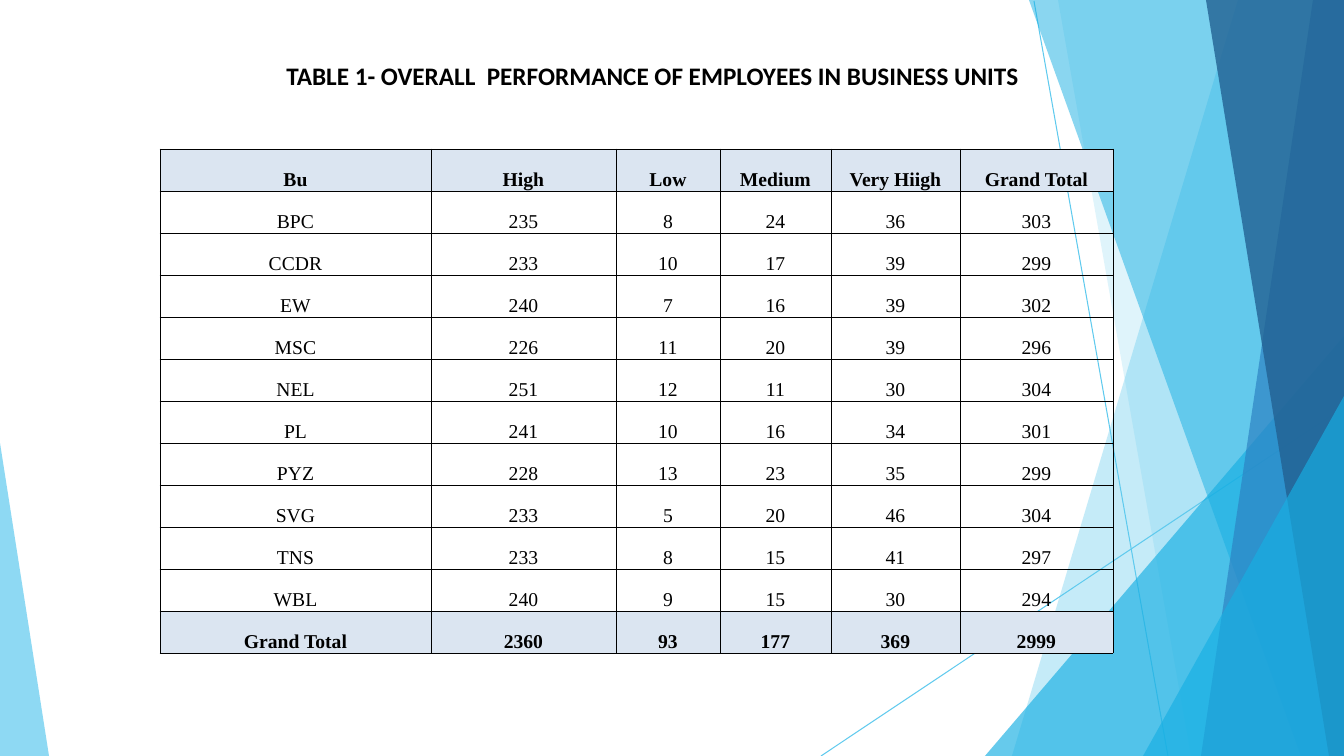
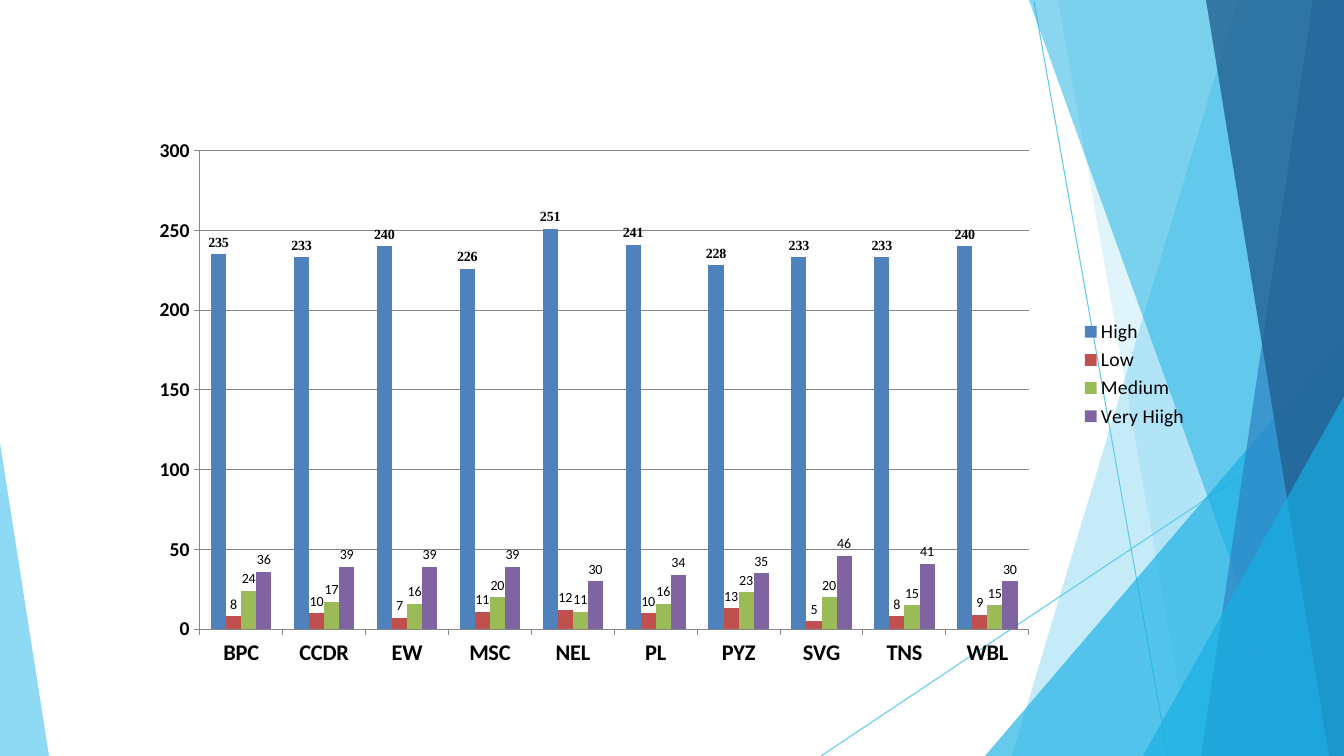
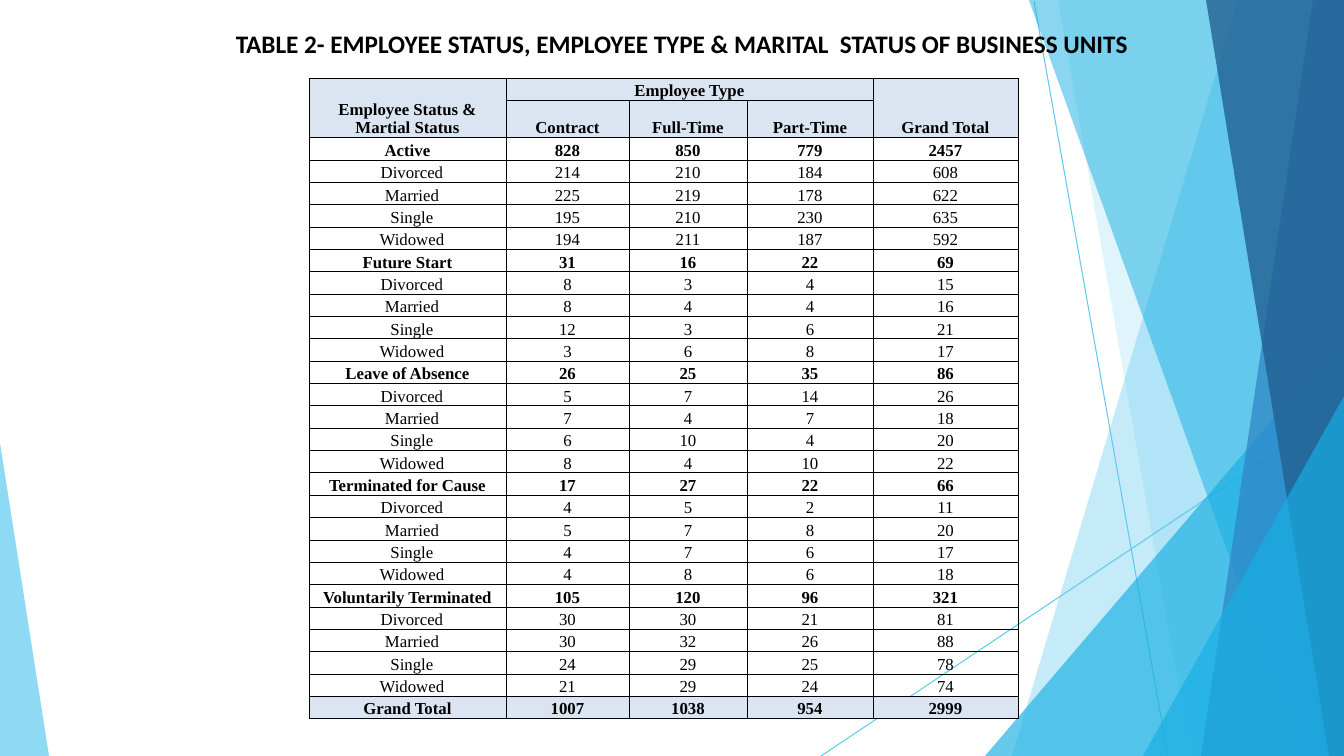
import collections

import lxml.etree
import pptx
import pptx.chart.data
import pptx.dml.color
import pptx.enum.chart
import pptx.enum.shapes
import pptx.enum.text
import pptx.oxml
import pptx.oxml.ns
import pptx.util

SLIDE_W, SLIDE_H = 1344, 756
PX = 12192000 / SLIDE_W

COLORS = {
    "sky": "5FCAEE",
    "cyan": "17AFE3",
    "blue": "2D83C3",
    "navy": "226192",
    "ink": "000000",
    "band": "DBE5F1",
    "grid": "868686",
    "High": "4F81BD",
    "Low": "C0504D",
    "Medium": "9BBB59",
    "Very Hiigh": "8064A2",
}
SANS, SERIF = "Calibri", "Times New Roman"

Box = collections.namedtuple("Box", "left top width height")
Row = collections.namedtuple("Row", "texts bold band indent", defaults=(False, False, 0))

RATINGS = ["High", "Low", "Medium", "Very Hiigh"]
UNITS = {
    "BPC": (235, 8, 24, 36),
    "CCDR": (233, 10, 17, 39),
    "EW": (240, 7, 16, 39),
    "MSC": (226, 11, 20, 39),
    "NEL": (251, 12, 11, 30),
    "PL": (241, 10, 16, 34),
    "PYZ": (228, 13, 23, 35),
    "SVG": (233, 5, 20, 46),
    "TNS": (233, 8, 15, 41),
    "WBL": (240, 9, 15, 30),
}

MARITAL = ["Divorced", "Married", "Single", "Widowed"]
STATUSES = {
    "Active": [(214, 210, 184), (225, 219, 178), (195, 210, 230), (194, 211, 187)],
    "Future Start": [(8, 3, 4), (8, 4, 4), (12, 3, 6), (3, 6, 8)],
    "Leave of Absence": [(5, 7, 14), (7, 4, 7), (6, 10, 4), (8, 4, 10)],
    "Terminated for Cause": [(4, 5, 2), (5, 7, 8), (4, 7, 6), (4, 8, 6)],
    "Voluntarily Terminated": [(30, 30, 21), (30, 32, 26), (24, 29, 25), (21, 29, 24)],
}

FACETS = [
    (0, 1238, 1012, "sky", 36),
    (0, 1058, 1191, "sky", 20),
    (336, 1344, 985, "cyan", 66),
    (0, 1029, 1301, "cyan", 50),
    (0, 1313, 1201, "blue", 70),
    (0, 1206, 1329, "navy", 80),
    (396, 1344, 1143, "cyan", 66),
]


def px(length):
    return pptx.util.Emu(round(length * PX))


def rgb(name):
    return pptx.dml.color.RGBColor.from_string(COLORS[name])


def style(font, size, name=SANS, bold=False):
    font.size = pptx.util.Pt(size)
    font.name = name
    font.bold = bold
    font.color.rgb = rgb("ink")


def with_total(label, counts):
    return [label, *counts, sum(counts)]


def column_sums(rows):
    return [sum(column) for column in zip(*rows)]


def facet(slide, points, color, opacity):
    outline = slide.shapes.build_freeform(*points[0], scale=PX)
    outline.add_line_segments(points[1:], close=True)
    pane = outline.convert_to_shape()
    pane.shadow.inherit = False
    pane.line.fill.background()
    pane.fill.solid()
    pane.fill.fore_color.rgb = rgb(color)
    tint = pane.fill._xPr.find(".//" + pptx.oxml.ns.qn("a:srgbClr"))
    alpha = lxml.etree.SubElement(tint, pptx.oxml.ns.qn("a:alpha"))
    alpha.set("val", str(opacity * 1000))


def ray(slide, x1, y1, x2, y2):
    beam = slide.shapes.add_connector(
        pptx.enum.shapes.MSO_CONNECTOR.STRAIGHT, px(x1), px(y1), px(x2), px(y2))
    beam.line.color.rgb = rgb("sky")
    beam.line.width = pptx.util.Pt(0.75)
    lxml.etree.SubElement(beam._element.spPr, pptx.oxml.ns.qn("a:effectLst"))


def backdrop(slide, box):
    left, top = box.left, box.top
    right, bottom = left + box.width, top + box.height
    ray(slide, left + 1034, top + 1, left + 1168, bottom)
    ray(slide, right, top + 407, left + 821, bottom)
    for start, upper, lower, color, opacity in FACETS:
        corners = [(right, top + start), (left + upper, top + start),
                   (left + lower, bottom), (right, bottom)]
        facet(slide, list(dict.fromkeys(corners)), color, opacity)
    facet(slide, [(left, top + 443), (left, bottom), (left + 49, bottom)], "sky", 70)


def heading(slide, box, text):
    frame = slide.shapes.add_textbox(*map(px, box)).text_frame
    frame.word_wrap = True
    line = frame.paragraphs[0]
    line.text = text
    line.alignment = pptx.enum.text.PP_ALIGN.CENTER
    style(line.font, 18, bold=True)


def cell_borders(cell):
    properties = cell._tc.get_or_add_tcPr()
    for index, side in enumerate(("lnL", "lnR", "lnT", "lnB")):
        properties.insert(index, pptx.oxml.parse_xml(
            f'<a:{side} {pptx.oxml.ns.nsdecls("a")} w="6350"><a:solidFill>'
            f'<a:srgbClr val="{COLORS["ink"]}"/></a:solidFill></a:{side}>'))


def fill_cell(cell, text, row, size):
    cell.margin_left = px(row.indent)
    cell.margin_right = cell.margin_top = cell.margin_bottom = 0
    cell.vertical_anchor = pptx.enum.text.MSO_ANCHOR.BOTTOM
    if row.band:
        cell.fill.solid()
        cell.fill.fore_color.rgb = rgb("band")
    else:
        cell.fill.background()
    cell_borders(cell)
    line = cell.text_frame.paragraphs[0]
    line.text = str(text)
    line.alignment = pptx.enum.text.PP_ALIGN.CENTER
    style(line.font, size, SERIF, row.bold)


def count_table(slide, box, widths, rows, size):
    table = slide.shapes.add_table(len(rows), len(widths), *map(px, box)).table
    table.first_row = table.horz_banding = False
    for column, width in zip(table.columns, widths):
        column.width = px(width)
    for r, row in enumerate(rows):
        table.rows[r].height = px(box.height / len(rows))
        for c, text in enumerate(row.texts):
            fill_cell(table.cell(r, c), text, row if c == 0 else row._replace(indent=0), size)
    return table


def place_plot(chart, x, y, w, h):
    area = chart._chartSpace.chart.plotArea
    for old in area.findall(pptx.oxml.ns.qn("c:layout")):
        area.remove(old)
    area.insert(0, pptx.oxml.parse_xml(
        f'<c:layout {pptx.oxml.ns.nsdecls("c")}><c:manualLayout>'
        '<c:layoutTarget val="inner"/><c:xMode val="edge"/><c:yMode val="edge"/>'
        f'<c:x val="{x}"/><c:y val="{y}"/><c:w val="{w}"/><c:h val="{h}"/>'
        '</c:manualLayout></c:layout>'))


def rating_chart(slide, box):
    data = pptx.chart.data.CategoryChartData()
    data.categories = list(UNITS)
    for rating, counts in zip(RATINGS, zip(*UNITS.values())):
        data.add_series(rating, counts)
    chart = slide.shapes.add_chart(
        pptx.enum.chart.XL_CHART_TYPE.COLUMN_CLUSTERED, *map(px, box), data).chart
    chart.has_title = False
    style(chart.font, 10)
    chart.has_legend = True
    chart.legend.position = pptx.enum.chart.XL_LEGEND_POSITION.RIGHT
    chart.legend.include_in_layout = False
    style(chart.legend.font, 14)

    counts_axis = chart.value_axis
    counts_axis.minimum_scale, counts_axis.maximum_scale = 0, 300
    counts_axis.major_unit = 50
    counts_axis.has_major_gridlines = True
    for axis, size in ((chart.category_axis, 16), (counts_axis, 14)):
        axis.major_tick_mark = pptx.enum.chart.XL_TICK_MARK.OUTSIDE
        axis.format.line.color.rgb = rgb("grid")
        style(axis.tick_labels.font, size, bold=True)
    counts_axis.major_gridlines.format.line.color.rgb = rgb("grid")

    columns = chart.plots[0]
    columns.gap_width, columns.overlap = 150, 0
    columns.vary_by_categories = False
    for rating in columns.series:
        rating.format.fill.solid()
        rating.format.fill.fore_color.rgb = rgb(rating.name)
        labels = rating.data_labels
        labels.show_value = True
        labels.position = pptx.enum.chart.XL_LABEL_POSITION.OUTSIDE_END
        leading = rating.name == "High"
        style(labels.font, 10, SERIF if leading else SANS, leading)
    place_plot(chart, 0.06, 0.15, 0.78, 0.75)


def performance_slide(slide):
    heading(slide, Box(239, 55, 827, 72),
            "TABLE 1- OVERALL  PERFORMANCE OF EMPLOYEES IN BUSINESS UNITS")
    rows = [Row(["Bu", *RATINGS, "Grand Total"], True, True)]
    rows += [Row(with_total(unit, counts)) for unit, counts in UNITS.items()]
    rows.append(Row(with_total("Grand Total", column_sums(UNITS.values())), True, True))
    count_table(slide, Box(160, 149, 953, 504), [271, 185, 104, 111, 129, 153], rows, 14)


def ratings_slide(slide):
    rating_chart(slide, Box(136, 55, 1063, 638))


def status_slide(slide):
    rows = [
        Row(["Employee Status & Martial Status", "Employee Type", "", "", "Grand Total"], True, True),
        Row(["", "Contract", "Full-Time", "Part-Time", ""], True, True),
    ]
    for status, groups in STATUSES.items():
        rows.append(Row(with_total(status, column_sums(groups)), True))
        rows += [Row(with_total(name, counts), indent=9) for name, counts in zip(MARITAL, groups)]
    everyone = column_sums(counts for groups in STATUSES.values() for counts in groups)
    rows.append(Row(with_total("Grand Total", everyone), True, True))
    table = count_table(slide, Box(309, 78, 709, 626), [197, 123, 118, 126, 145], rows, 12)
    for first, last in (((0, 0), (1, 0)), ((0, 1), (0, 3)), ((0, 4), (1, 4))):
        table.cell(*first).merge(table.cell(*last))
    heading(slide, Box(170, 23, 1024, 40),
            "TABLE 2- EMPLOYEE STATUS, EMPLOYEE TYPE & MARITAL  STATUS OF BUSINESS UNITS")


def main():
    deck = pptx.Presentation()
    deck.slide_width, deck.slide_height = px(SLIDE_W), px(SLIDE_H)
    for build in (performance_slide, ratings_slide, status_slide):
        slide = deck.slides.add_slide(deck.slide_layouts[6])
        backdrop(slide, Box(0, 0, SLIDE_W, SLIDE_H))
        build(slide)
    deck.save("out.pptx")


if __name__ == "__main__":
    main()
